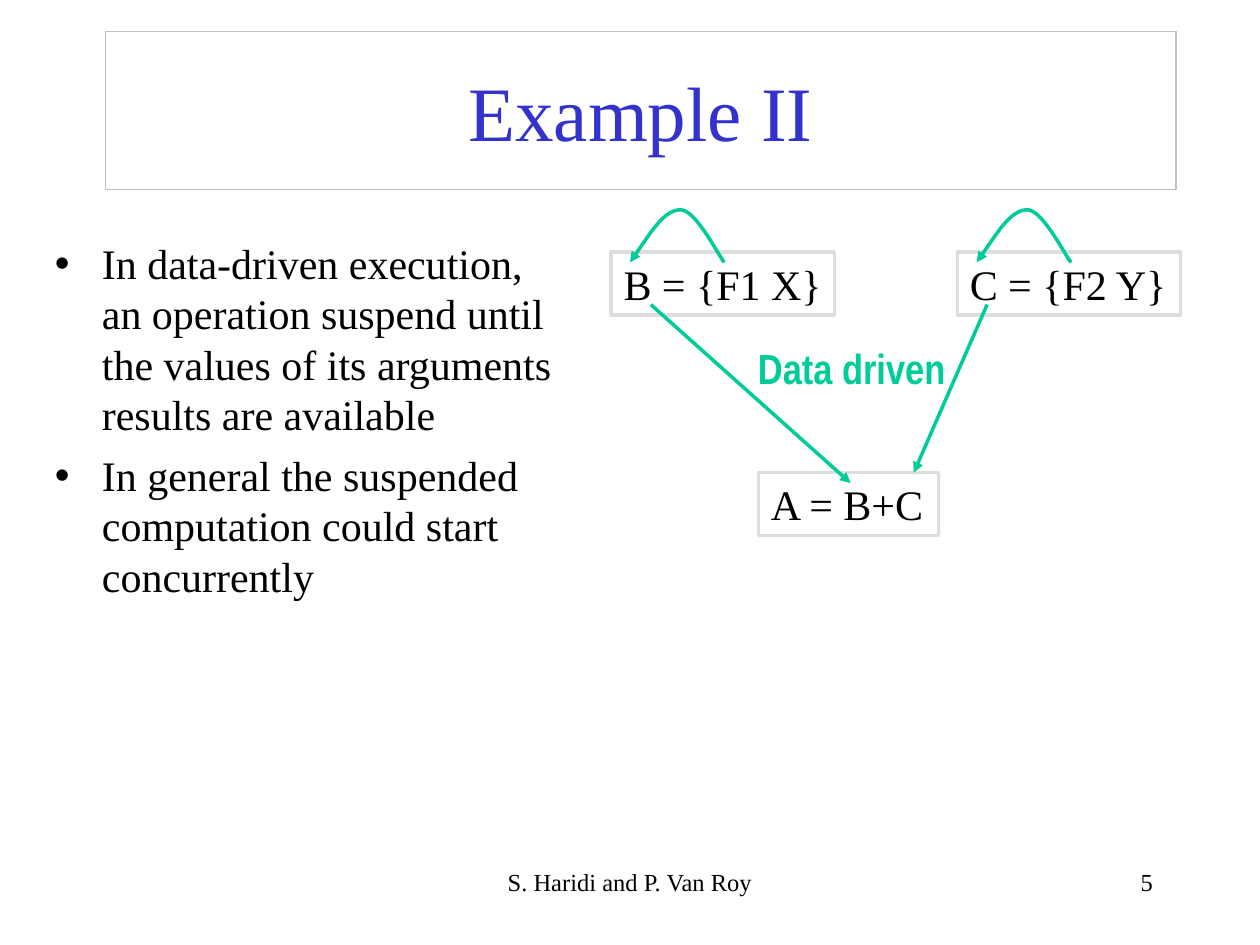
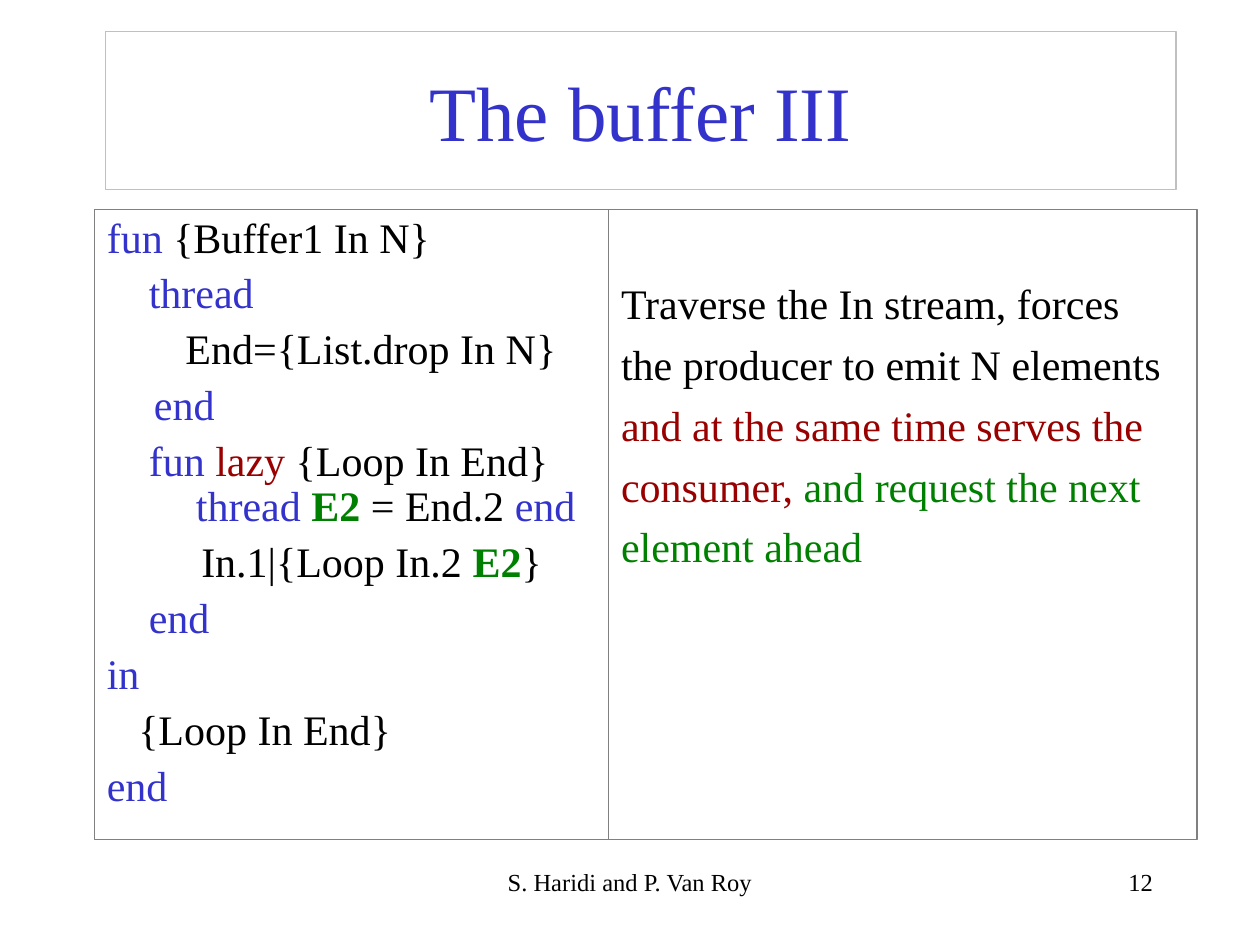
from dataclasses import dataclass

from lxml.etree import SubElement
from pptx import Presentation
from pptx.dml.color import RGBColor
from pptx.enum.shapes import MSO_CONNECTOR, MSO_SHAPE
from pptx.enum.text import MSO_ANCHOR, MSO_AUTO_SIZE, PP_ALIGN
from pptx.oxml.ns import qn
from pptx.util import Cm, Pt


@dataclass(frozen=True)
class Theme:
    """Colours, fonts, type sizes and line widths shared by the slides."""
    ink: str = "000000"
    keyword: str = "3333CC"
    lazy: str = "990000"
    ahead: str = "008000"
    flow: str = "00CC99"
    title_frame: str = "C0C0C0"
    panel_frame: str = "808080"
    statement_frame: str = "DDDDDD"
    serif: str = "Times New Roman"
    narrow: str = "Arial Narrow"
    title_size: float = 44
    text_size: float = 24
    footer_size: float = 14
    thin: float = 0.75
    thick: float = 2
    leading: float = 28.8
    code_leading: float = 25.92
    gap: float = 6
    hang: float = 0.95


THEME = Theme()
AUTHORS = "S. Haridi and P. Van Roy"
TITLE_AREA = (2.12, 0.64, 21.59, 3.18)
AUTHORS_AREA = (8.68, 17.36, 8.04, 1.27)
NUMBER_AREA = (18.2, 17.36, 5.29, 1.27)
LIST_AREA = (0.85, 4.66, 10.8, 12.28)
CODE_AREA = (1.9, 4.23, 10.37, 12.7)
REMARK_AREA = (12.27, 4.23, 11.86, 12.7)
REMARK_TOP = 1.36

POINTS = [
    "In data-driven execution, an operation suspend until the values of its "
    "arguments results are available",
    "In general the suspended computation could start concurrently",
]
STATEMENTS = [
    ("B = {F1 X}", (12.32, 5.08, 4.5, 1.27)),
    ("C = {F2 Y}", (19.3, 5.08, 4.5, 1.27)),
    ("A = B+C", (15.29, 9.53, 3.63, 1.27)),
]
DATA_FLOWS = [((17.15, 9.74), (13.12, 6.14)), ((18.42, 9.53), (19.9, 6.14))]
RESULT_ARCS = [(12.7, 4.23), (19.69, 4.23)]
ARC = [(0, 1.06), (0.36, 0.55), (0.69, 0), (1.02, 0), (1.32, 0),
       (1.75, 0.86), (1.9, 1.06)]

INK, KEY, LAZY, AHEAD = THEME.ink, THEME.keyword, THEME.lazy, THEME.ahead
BREAK = ("\n", INK)
BUFFER_CODE = [
    [("fun", KEY), (" {Buffer1 In N}", INK)],
    [("    thread", KEY)],
    [("\t   End={List.drop In N}", INK)],
    [("\tend", KEY)],
    [("    fun ", KEY), ("lazy", LAZY), (" {Loop In End}", INK), BREAK,
     ("    thread ", KEY), ("E2 ", AHEAD, True), ("= End.2 ", INK), ("end", KEY)],
    [("         In.1|{Loop In.2 ", INK), ("E2", AHEAD, True), ("}", INK)],
    [("    end", KEY)],
    [("in", KEY)],
    [("   {Loop In End}", INK)],
    [("end", KEY)],
]
REMARK = [
    [("Traverse the In stream, forces", INK)],
    [("the producer to emit N elements", INK)],
    [("and at the same time serves the", LAZY)],
    [("consumer, ", LAZY), ("and request the next", AHEAD)],
    [("element ahead", AHEAD)],
]


def assign(target, values):
    """Set every attribute of target named in values."""
    for name, value in values.items():
        setattr(target, name, value)


def lengths(numbers):
    """Turn centimetre numbers into lengths."""
    return [Cm(number) for number in numbers]


def place(shape, area):
    """Move and size a placeholder."""
    assign(shape, dict(zip(("left", "top", "width", "height"), lengths(area))))


def outline(shape, color, width):
    """Give a shape or connector a plain line."""
    shape.line.color.rgb = RGBColor.from_string(color)
    shape.line.width = Pt(width)


def set_bullet(paragraph, hanging, bulleted):
    """Set the hanging indent and the bullet of a paragraph."""
    properties = paragraph._p.get_or_add_pPr()
    hang = Cm(THEME.hang) if hanging else 0
    properties.set("marL", str(hang))
    properties.set("indent", str(-hang))
    if bulleted:
        SubElement(properties, qn("a:buChar")).set("char", "•")
    else:
        SubElement(properties, qn("a:buNone"))


def write(frame, lines, size=THEME.text_size, face=THEME.serif,
          align=PP_ALIGN.LEFT, leading=None, hanging=False, bulleted=False):
    """Fill a text frame with lines of (text, colour, bold) pieces."""
    for index, pieces in enumerate(lines):
        paragraph = frame.add_paragraph() if index else frame.paragraphs[0]
        set_bullet(paragraph, hanging, bulleted)
        assign(paragraph, {
            "alignment": align,
            "line_spacing": Pt(leading) if leading else 1.0,
            "space_before": Pt(THEME.gap if index else 0),
        })
        for text, color, *bold in pieces:
            if text == "\n":
                paragraph.add_line_break()
                continue
            run = paragraph.add_run()
            run.text = text
            assign(run.font, {"name": face, "size": Pt(size), "bold": bool(bold)})
            run.font.color.rgb = RGBColor.from_string(color)


def add_label(slide, text, area, color=INK, bold=False, wrap=True, **style):
    """Add a one-line text box."""
    frame = slide.shapes.add_textbox(*lengths(area)).text_frame
    frame.word_wrap = wrap
    write(frame, [[(text, color, True) if bold else (text, color)]], **style)


def add_frame(slide, area, color, width, wrap):
    """Add an unfilled rectangle and return its text frame."""
    box = slide.shapes.add_shape(MSO_SHAPE.RECTANGLE, *lengths(area))
    box.shadow.inherit = False
    box.fill.background()
    outline(box, color, width)
    assign(box.text_frame, {"word_wrap": wrap, "vertical_anchor": MSO_ANCHOR.TOP})
    return box.text_frame


def add_arrowhead(shape):
    """Put an arrowhead at the start of a line and drop its shadow."""
    properties = shape._element.spPr
    SubElement(shape.line._get_or_add_ln(), qn("a:headEnd")).set("type", "triangle")
    if properties.find(qn("a:effectLst")) is None:
        SubElement(properties, qn("a:effectLst"))


def add_flow(slide, tip, tail):
    """Draw a straight arrow whose head lies at tip."""
    flow = slide.shapes.add_connector(
        MSO_CONNECTOR.STRAIGHT, *lengths(tip), *lengths(tail))
    outline(flow, THEME.flow, THEME.thick)
    add_arrowhead(flow)


def add_arc(slide, corner):
    """Draw a curved arrow from a call back to its variable."""
    knots = [lengths((corner[0] + x, corner[1] + y)) for x, y in ARC]
    builder = slide.shapes.build_freeform(*knots[0])
    builder.add_line_segments(knots[1:], close=False)
    arc = builder.convert_to_shape()
    track = arc._element.xpath(".//a:path")[0]
    segments = track.findall(qn("a:lnTo"))
    for start in range(0, len(segments), 3):
        curve = SubElement(track, qn("a:cubicBezTo"))
        for segment in segments[start:start + 3]:
            curve.append(segment[0])
            track.remove(segment)
    arc.shadow.inherit = False
    arc.fill.background()
    outline(arc, THEME.flow, THEME.thick)
    add_arrowhead(arc)


def add_page(deck, heading, number):
    """Add a slide with its framed title and footer; return it with its body."""
    slide = deck.slides.add_slide(deck.slide_layouts[1])
    title, body = slide.placeholders
    place(title, TITLE_AREA)
    outline(title, THEME.title_frame, THEME.thin)
    assign(title.text_frame, {"vertical_anchor": MSO_ANCHOR.MIDDLE,
                              "auto_size": MSO_AUTO_SIZE.NONE})
    write(title.text_frame, [[(heading, THEME.keyword)]],
          size=THEME.title_size, align=PP_ALIGN.CENTER)
    body.text_frame.auto_size = MSO_AUTO_SIZE.NONE
    add_label(slide, AUTHORS, AUTHORS_AREA,
              size=THEME.footer_size, align=PP_ALIGN.CENTER)
    add_label(slide, str(number), NUMBER_AREA,
              size=THEME.footer_size, align=PP_ALIGN.RIGHT)
    return slide, body


def build_example(deck):
    """Build the data-driven execution slide."""
    slide, points = add_page(deck, "Example II", 5)
    place(points, LIST_AREA)
    write(points.text_frame, [[(point, INK)] for point in POINTS],
          leading=THEME.leading, hanging=True, bulleted=True)
    for statement, area in STATEMENTS:
        frame = add_frame(slide, area, THEME.statement_frame, THEME.thick, False)
        write(frame, [[(statement, INK)]], leading=THEME.leading)
    for tip, tail in DATA_FLOWS:
        add_flow(slide, tip, tail)
    for corner in RESULT_ARCS:
        add_arc(slide, corner)
    add_label(slide, "Data driven", (15.03, 6.77, 4.29, 1.27), THEME.flow,
              bold=True, wrap=False, face=THEME.narrow, leading=THEME.leading)


def build_buffer(deck):
    """Build the buffer slide with code beside its remark."""
    slide, code = add_page(deck, "The buffer III", 12)
    place(code, CODE_AREA)
    outline(code, THEME.panel_frame, THEME.thin)
    write(code.text_frame, BUFFER_CODE, leading=THEME.code_leading, hanging=True)
    remark = add_frame(slide, REMARK_AREA, THEME.panel_frame, THEME.thin, True)
    remark.margin_top = Cm(REMARK_TOP)
    write(remark, REMARK, leading=THEME.leading, hanging=True)


def main():
    """Build and save the presentation."""
    deck = Presentation()
    assign(deck, {"slide_width": Cm(25.4), "slide_height": Cm(19.05)})
    build_example(deck)
    build_buffer(deck)
    deck.save("out.pptx")


if __name__ == "__main__":
    main()
